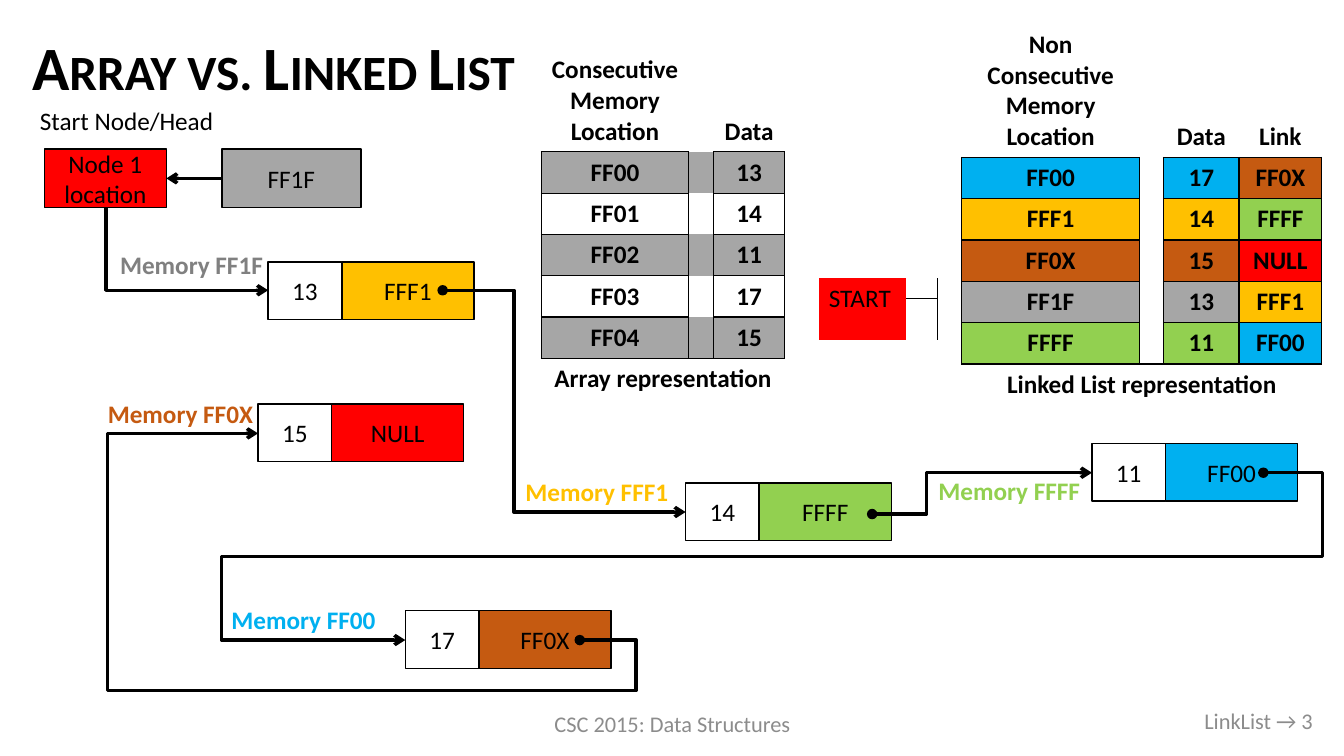
from lxml.etree import SubElement
from pptx import Presentation
from pptx.dml.color import RGBColor
from pptx.enum.shapes import MSO_CONNECTOR as CONNECTOR, MSO_SHAPE as SHAPE
from pptx.enum.text import MSO_ANCHOR as ANCHOR, PP_ALIGN as ALIGN
from pptx.oxml.ns import qn
from pptx.util import Pt

PX = 9144
BLACK = RGBColor(0, 0, 0)
WHITE = RGBColor(255, 255, 255)
RED = RGBColor(255, 0, 0)
SILVER = RGBColor(0xA6, 0xA6, 0xA6)
GRAY = RGBColor(0x80, 0x80, 0x80)
FOOTER = RGBColor(0x8C, 0x8C, 0x8C)
GOLD = RGBColor(0xFF, 0xC0, 0x00)
GREEN = RGBColor(0x92, 0xD0, 0x50)
BLUE = RGBColor(0x00, 0xB0, 0xF0)
BROWN = RGBColor(0xC5, 0x5A, 0x11)
ADDRESS_COLORS = {"FF00": BLUE, "FFF1": GOLD, "FF0X": BROWN,
                  "FF1F": SILVER, "FFFF": GREEN, "NULL": RED}


def write_text(frame, text, size=18, color=BLACK, bold=False, align=ALIGN.CENTER,
               spacing=None, small_caps=False):
    frame.word_wrap = True
    paragraph = frame.paragraphs[0]
    paragraph.alignment = align
    paragraph.line_spacing = spacing
    run = paragraph.add_run()
    run.text = text
    run.font.name = "Calibri"
    run.font.size = Pt(size)
    run.font.bold = bold
    run.font.color.rgb = color
    if small_caps:
        run.font._element.set("cap", "small")


def style_cell(cell, sides, fill=None):
    properties = cell._tc.get_or_add_tcPr()
    for side in "LRTB":
        border = SubElement(properties, qn(f"a:ln{side}"), w=str(Pt(1)))
        if side in sides:
            solid = SubElement(border, qn("a:solidFill"))
            SubElement(solid, qn("a:srgbClr"), val=str(BLACK))
        else:
            SubElement(border, qn("a:noFill"))
    if fill is None:
        cell.fill.background()
    else:
        cell.fill.solid()
        cell.fill.fore_color.rgb = fill


presentation = Presentation()
presentation.slide_width = 1333 * PX
presentation.slide_height = 750 * PX
slide = presentation.slides.add_slide(presentation.slide_layouts[6])
shapes = slide.shapes

array_rows = [(f"FF0{index}", "", value)
              for index, value in enumerate(["13", "14", "11", "17", "15"])]
array_fills = [[SILVER if index % 2 == 0 else None] * 3 for index in range(5)]
list_rows = [("FF00", "", "17", "FF0X"), ("FFF1", "", "14", "FFFF"),
             ("FF0X", "", "15", "NULL"), ("FF1F", "", "13", "FFF1"),
             ("FFFF", "", "11", "FF00")]
list_fills = [[ADDRESS_COLORS[address], None, ADDRESS_COLORS[address], ADDRESS_COLORS[link]]
              for address, _, _, link in list_rows]
memory_tables = [
    (537, 49, 101, [146, 25, 70], ("Consecutive Memory Location", "", "Data"),
     array_rows, array_fills, "Array representation"),
    (954, 24, 132, [176, 23, 75, 82], ("Non Consecutive Memory Location", "", "Data", "Link"),
     list_rows, list_fills, "Linked List representation"),
]
for left, top, header_height, widths, header, body, fills, caption in memory_tables:
    count = len(widths)
    rows = [header, *body, (caption,) + ("",) * (count - 1)]
    table = shapes.add_table(len(rows), count, left * PX, top * PX, sum(widths) * PX,
                             (header_height + 6 * 41) * PX).table
    table.first_row = table.horz_banding = False
    for column, width in zip(table.columns, widths):
        column.width = width * PX
    for row_index, texts in enumerate(rows):
        is_header, is_caption = row_index == 0, row_index == len(rows) - 1
        table.rows[row_index].height = (header_height if is_header else 41) * PX
        for column_index, text in enumerate(texts):
            cell = table.cell(row_index, column_index)
            is_gap = column_index == 1
            fill = None
            if is_header:
                sides = "" if is_gap else "B"
            elif is_caption:
                sides = "T"
            else:
                sides = "LR" if is_gap else "LRTB"
                fill = fills[row_index - 1][column_index]
            style_cell(cell, sides, fill)
            cell.vertical_anchor = ANCHOR.BOTTOM if is_header and column_index else ANCHOR.MIDDLE
            if text:
                write_text(cell.text_frame, text, bold=True)
    table.cell(len(rows) - 1, 0).merge(table.cell(len(rows) - 1, count - 1))

start_table = shapes.add_table(2, 3, 812 * PX, 276 * PX, 141 * PX, 61 * PX).table
start_table.first_row = start_table.horz_banding = False
for column, width in zip(start_table.columns, [87, 31, 23]):
    column.width = width * PX
for row, height in zip(start_table.rows, [20, 41]):
    row.height = height * PX
for row_index, middle_sides in enumerate(["RB", "RT"]):
    for column_index, sides in enumerate(["", middle_sides, "L"]):
        cell = start_table.cell(row_index, column_index)
        style_cell(cell, sides, None if column_index else RED)
        if column_index or row_index:
            cell.margin_top = cell.margin_bottom = 0
            SubElement(cell.text_frame.paragraphs[0]._p, qn("a:endParaRPr"), sz="600")
start_table.cell(0, 0).merge(start_table.cell(1, 0))
write_text(start_table.cell(0, 0).text_frame, "START", align=ALIGN.LEFT)

boxes = [
    (44, 148, 121, 58, "Node 1 location", RED, BLACK),
    (220, 148, 138, 58, "FF1F", SILVER, BLACK),
    (18, 101, 215, 37, "Start Node/Head", WHITE, None),
]
for left, top, value, link in [(266, 260, "13", "FFF1"), (256, 401, "15", "NULL"),
                               (402, 606, "17", "FF0X"), (680, 479, "14", "FFFF"),
                               (1083, 440, "11", "FF00")]:
    boxes.append((left, top, 73, 57, value, WHITE, BLACK))
    boxes.append((left + 73, top, 131, 57, link, ADDRESS_COLORS[link], BLACK))
for left, top, width, height, text, fill, outline in boxes:
    shape = shapes.add_shape(SHAPE.RECTANGLE, left * PX, top * PX, width * PX, height * PX)
    shape.shadow.inherit = False
    shape.fill.solid()
    shape.fill.fore_color.rgb = fill
    if outline is None:
        shape.line.fill.background()
    else:
        shape.line.color.rgb = outline
        shape.line.width = Pt(1)
    shape.text_frame.vertical_anchor = ANCHOR.MIDDLE
    write_text(shape.text_frame, text)

labels = [
    (22, 24, 1290, 93, "Array vs. Linked List",
     dict(size=44, bold=True, align=ALIGN.LEFT, spacing=0.9, small_caps=True)),
    (442, 698, 450, 40, "CSC 2015: Data Structures", dict(size=16, color=FOOTER)),
    (1012, 695, 300, 40, "LinkList → 3", dict(size=16, color=FOOTER, align=ALIGN.RIGHT)),
]
for left, top, address in [(88, 240, "FF1F"), (490, 466, "FFF1"), (899, 465, "FFFF"),
                           (199, 593, "FF00"), (77, 388, "FF0X")]:
    color = GRAY if address == "FF1F" else ADDRESS_COLORS[address]
    labels.append((left, top, 204, 44, f"Memory {address}", dict(color=color, bold=True)))
for left, top, width, height, text, text_format in labels:
    frame = shapes.add_textbox(left * PX, top * PX, width * PX, height * PX).text_frame
    frame.vertical_anchor = ANCHOR.MIDDLE
    write_text(frame, text, **text_format)

links = [
    ("bentConnector2", (266, 288), (105, 206), [], "arrow", None),
    ("bentConnector5", (1287, 469), (402, 635), [-0.028, 0.5, 1.206], None, "arrow"),
    ("bentConnector5", (606, 635), (256, 430), [-0.071, -0.244, 1.427], None, "arrow"),
    ("bentConnector3", (439, 288), (680, 508), [0.293], "oval", "arrow"),
    ("bentConnector3", (865, 510), (1083, 469), [0.248], "oval", "arrow"),
    ("line", (220, 177), (165, 177), [], None, "arrow"),
    ("line", (1287, 469), (1253, 469), [], None, "oval"),
    ("line", (606, 635), (575, 635), [], None, "oval"),
]
for preset, (begin_x, begin_y), (end_x, end_y), adjustments, head, tail in links:
    kind = CONNECTOR.STRAIGHT if preset == "line" else CONNECTOR.ELBOW
    connector = shapes.add_connector(kind, begin_x * PX, begin_y * PX, end_x * PX, end_y * PX)
    connector.line.color.rgb = BLACK
    connector.line.width = Pt(2.5)
    properties = connector._element.spPr
    geometry = properties.find(qn("a:prstGeom"))
    geometry.set("prst", preset)
    guides = geometry.find(qn("a:avLst"))
    for number, value in enumerate(adjustments, 1):
        name = f"adj{number}"
        SubElement(guides, qn("a:gd"), name=name, fmla=f"val {round(value * 100000)}")
    outline = properties.find(qn("a:ln"))
    for tag, ending in [("a:headEnd", head), ("a:tailEnd", tail)]:
        if ending:
            SubElement(outline, qn(tag), type=ending)
    SubElement(properties, qn("a:effectLst"))

presentation.save("out.pptx")
